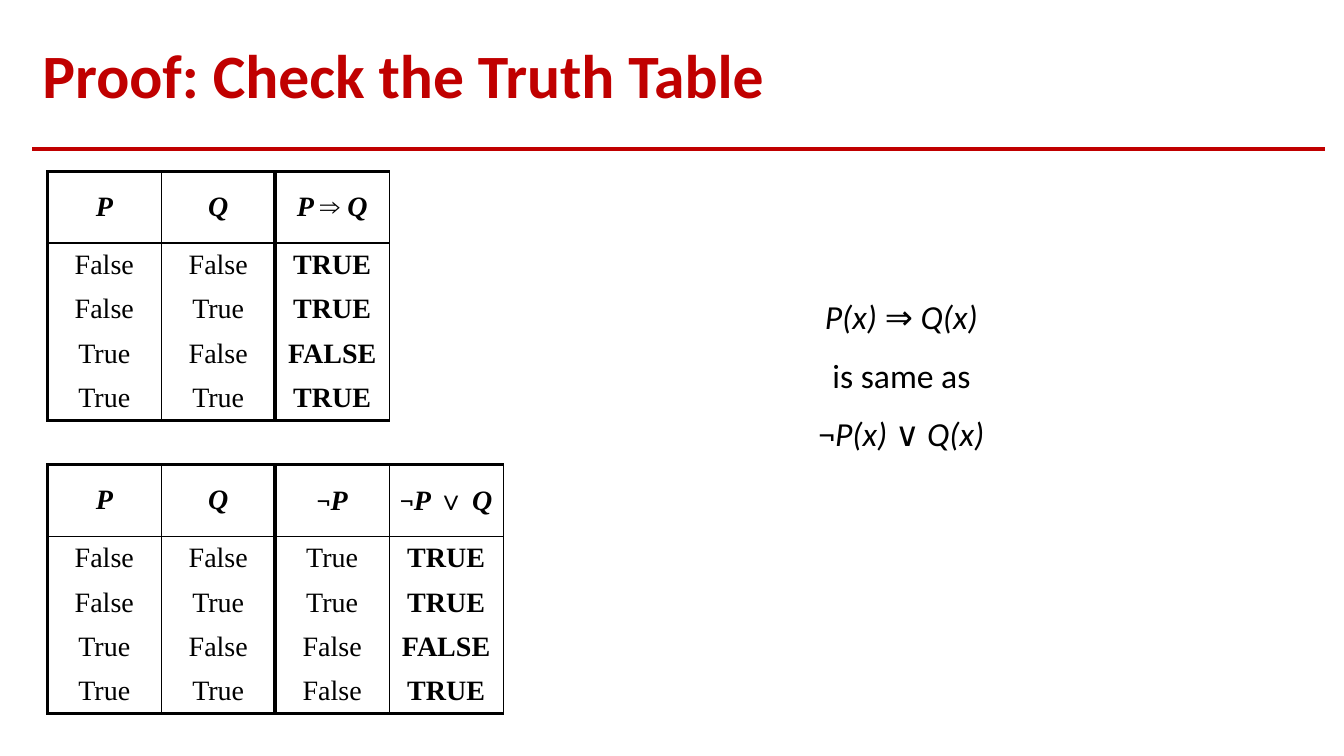
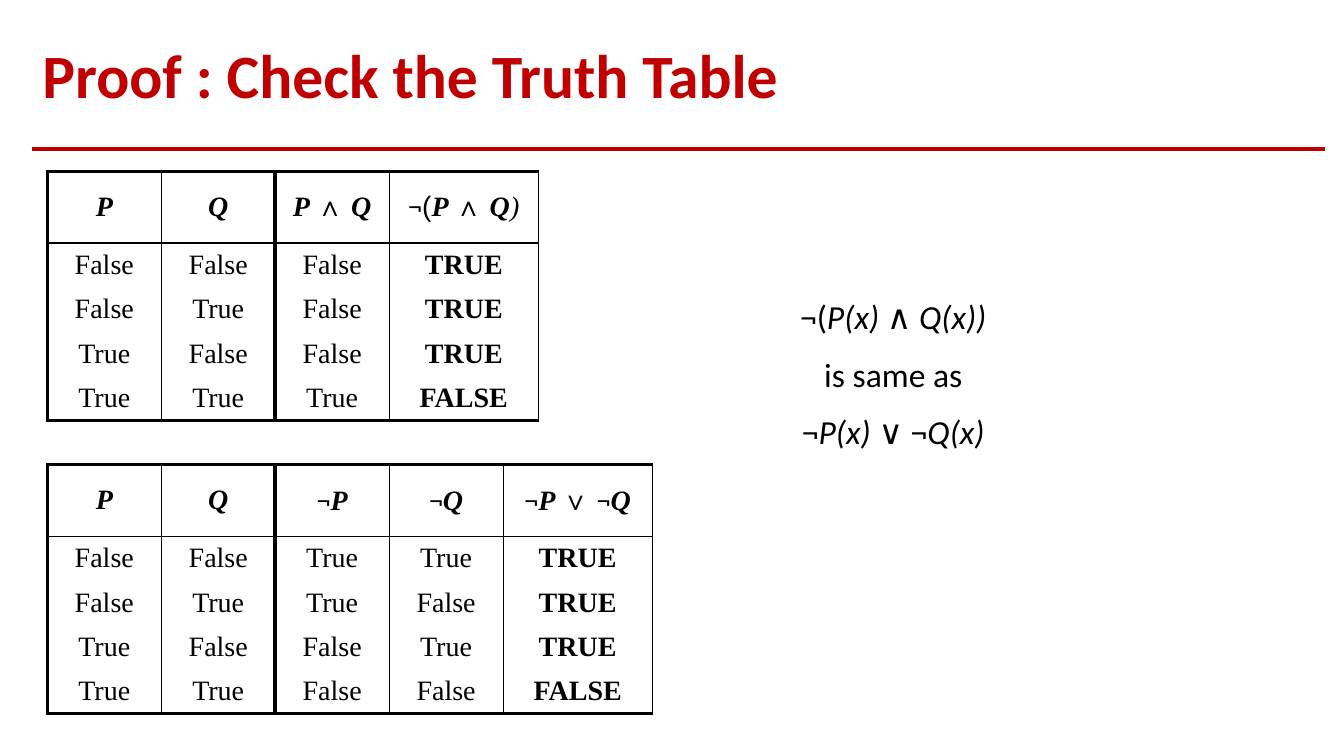
"""Build two slides that prove logical equivalences with truth tables."""
from dataclasses import dataclass
from itertools import product
from typing import Callable

from lxml import etree
from pptx import Presentation
from pptx.dml.color import RGBColor
from pptx.enum.shapes import MSO_CONNECTOR
from pptx.enum.text import MSO_ANCHOR, MSO_AUTO_SIZE, PP_ALIGN
from pptx.oxml.ns import qn
from pptx.util import Inches, Pt

STRAIGHT = MSO_CONNECTOR.STRAIGHT
MIDDLE = MSO_ANCHOR.MIDDLE
NO_AUTOFIT = MSO_AUTO_SIZE.NONE
LEFT, CENTER = PP_ALIGN.LEFT, PP_ALIGN.CENTER

COLORS = {"accent": "C00000", "ink": "000000"}
SANS, SERIF, PLAIN = "Calibri", "Times New Roman", "Arial"
TITLE_ONLY = 5
TABLE_LEFT = 0.47
TABLE_TOPS = (1.7, 4.61)
HEADER_HEIGHT, ROW_HEIGHT = 0.71, 0.44
NARROW, WIDE = 1.13, 1.48
OUTER, DIVIDER, HEADER_RULE, THIN = 2.25, 3, 1, 0.75


@dataclass(frozen=True)
class Span:
    text: str
    font: str = SERIF
    bold: bool = False
    italic: bool = False


@dataclass(frozen=True)
class Column:
    heading: tuple[Span, ...]
    value: Callable[[bool, bool], bool]
    width: float = NARROW


@dataclass(frozen=True)
class Formula:
    left: float
    gap: float
    lines: tuple[tuple[Span, ...], ...]


@dataclass(frozen=True)
class Proof:
    title: str
    tables: tuple[tuple[Column, ...], ...]
    formula: Formula


def variable(text: str) -> Span:
    return Span(text, bold=True, italic=True)


def upright(text: str) -> Span:
    return Span(text, SANS)


def slanted(text: str) -> Span:
    return Span(text, SANS, italic=True)


NOT = upright("¬")
AND, OR, IMPLIES = Span("∧ "), Span("∨ "), Span("⇒ ")
P, Q, P_GAP = variable("P"), variable("Q"), variable("P ")
INPUTS = (Column((P,), lambda p, q: p), Column((Q,), lambda p, q: q))
NOT_P = Column((NOT, P), lambda p, q: not p)
NOT_Q = Column((NOT, Q), lambda p, q: not q)
SAME_AS = (upright("is same as"),)

PROOFS = (
    Proof(
        "Proof: Check the Truth Table",
        (
            (*INPUTS, Column((P_GAP, IMPLIES, Q), lambda p, q: not p or q)),
            (*INPUTS, NOT_P, Column((NOT, P_GAP, OR, Q), lambda p, q: not p or q)),
        ),
        Formula(7.34, 13, (
            (slanted("P(x) "), upright("⇒ "), slanted("Q(x)")),
            SAME_AS,
            (NOT, slanted("P(x)"), upright(" ∨ "), slanted("Q(x)")),
        )),
    ),
    Proof(
        "Proof : Check the Truth Table",
        (
            (
                *INPUTS,
                Column((P_GAP, AND, Q), lambda p, q: p and q),
                Column(
                    (NOT, Span("(", PLAIN), P_GAP, AND, Q, Span(")", italic=True)),
                    lambda p, q: not (p and q), WIDE,
                ),
            ),
            (
                *INPUTS, NOT_P, NOT_Q,
                Column((NOT, P_GAP, OR, NOT, Q), lambda p, q: not p or not q, WIDE),
            ),
        ),
        Formula(7.26, 12, (
            (upright("¬("), slanted("P(x)"), upright(" ∧ "), slanted("Q(x))")),
            SAME_AS,
            (NOT, slanted("P(x)"), upright(" ∨ ¬"), slanted("Q(x)")),
        )),
    ),
)


def color(name: str) -> RGBColor:
    return RGBColor.from_string(COLORS[name])


def write(para, spans: tuple[Span, ...], size: int) -> None:
    para.alignment = CENTER
    para.font.size = Pt(size)
    para.font.color.rgb = color("ink")
    for span in spans:
        run = para.add_run()
        run.text = span.text
        run.font.name = span.font
        run.font.bold = span.bold
        run.font.italic = span.italic


def set_borders(cell, left: float, right: float, top: float, bottom: float) -> None:
    properties = cell._tc.get_or_add_tcPr()
    for side, width in zip("LRTB", (left, right, top, bottom)):
        line = etree.SubElement(properties, qn(f"a:ln{side}"), w=str(Pt(width)))
        if width:
            fill = etree.SubElement(line, qn("a:solidFill"))
            etree.SubElement(fill, qn("a:srgbClr"), val=COLORS["ink"])
        else:
            etree.SubElement(line, qn("a:noFill"))


def add_title(page, text: str) -> None:
    title = page.shapes.title
    title.left, title.top = Inches(0.32), Inches(0.28)
    title.width, title.height = Inches(12.82), Inches(1)
    frame = title.text_frame
    frame.text = text
    frame.auto_size = NO_AUTOFIT
    frame.vertical_anchor = MIDDLE
    para = frame.paragraphs[0]
    para.alignment = LEFT
    para.line_spacing = 0.9
    para.font.name = SANS
    para.font.size = Pt(44)
    para.font.bold = True
    para.font.color.rgb = color("accent")
    rule = page.shapes.add_connector(
        STRAIGHT, Inches(0.32), Inches(1.48), Inches(13.14), Inches(1.48))
    rule.line.color.rgb = color("accent")
    rule.line.width = Pt(2.5)
    etree.SubElement(rule._element.spPr, qn("a:effectLst"))


def add_truth_table(page, top: float, columns: tuple[Column, ...]) -> None:
    rows = [[column.heading for column in columns]]
    for p, q in product((False, True), repeat=2):
        words = [str(column.value(p, q)) for column in columns]
        rows.append([(Span(word),) for word in words[:-1]]
                    + [(Span(words[-1].upper(), bold=True),)])
    heights = [HEADER_HEIGHT] + [ROW_HEIGHT] * (len(rows) - 1)
    table = page.shapes.add_table(
        len(rows), len(columns), Inches(TABLE_LEFT), Inches(top),
        Inches(sum(column.width for column in columns)), Inches(sum(heights))).table
    table.first_row = table.horz_banding = False
    for grid_column, column in zip(table.columns, columns):
        grid_column.width = Inches(column.width)
    verticals = [OUTER, THIN, DIVIDER] + [THIN] * (len(columns) - 2)
    horizontals = [OUTER, HEADER_RULE] + [0] * (len(rows) - 2) + [OUTER]
    for i, (row, height) in enumerate(zip(rows, heights)):
        table.rows[i].height = Inches(height)
        for j, spans in enumerate(row):
            cell = table.cell(i, j)
            cell.vertical_anchor = MIDDLE
            cell.margin_left = cell.margin_right = Inches(0.05)
            set_borders(cell, *verticals[j:j + 2], *horizontals[i:i + 2])
            cell.fill.background()
            write(cell.text_frame.paragraphs[0], spans, 20)


def add_formula(page, formula: Formula) -> None:
    box = page.shapes.add_textbox(
        Inches(formula.left), Inches(2.89), Inches(3.2), Inches(1.65))
    frame = box.text_frame
    frame.word_wrap = True
    for i, spans in enumerate(formula.lines):
        para = frame.add_paragraph() if i else frame.paragraphs[0]
        para.space_before = Pt(formula.gap if i else 0)
        write(para, spans, 24)


def main() -> None:
    deck = Presentation()
    deck.slide_width, deck.slide_height = Inches(13.33), Inches(7.5)
    for proof in PROOFS:
        page = deck.slides.add_slide(deck.slide_layouts[TITLE_ONLY])
        add_title(page, proof.title)
        for top, columns in zip(TABLE_TOPS, proof.tables):
            add_truth_table(page, top, columns)
        add_formula(page, proof.formula)
    deck.save("out.pptx")


if __name__ == "__main__":
    main()
